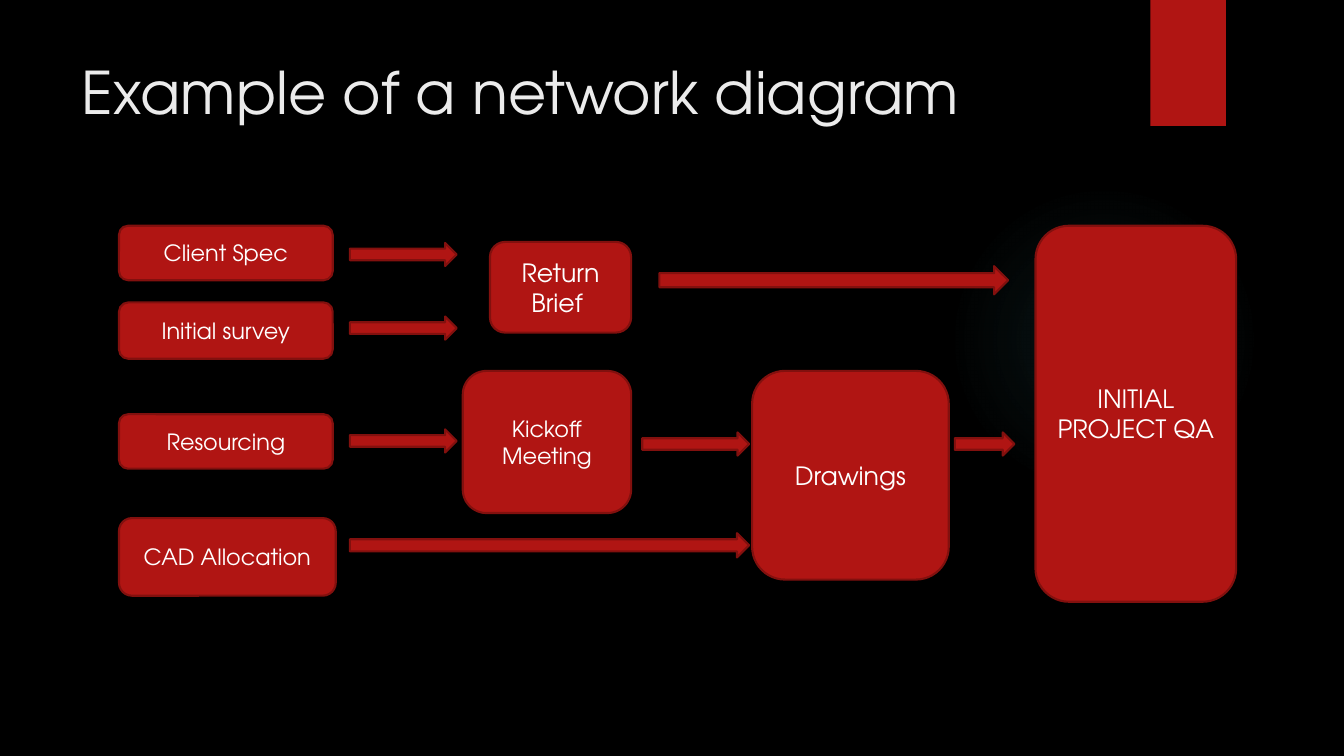
from pptx import Presentation
from pptx import util as u
from pptx.dml.color import RGBColor
from pptx.enum import shapes, text
from pptx.oxml import parse_xml
from pptx.oxml.ns import nsdecls

COLORS = {
    "background": "000000",
    "red": "B01513",
    "outline": "82100E",
    "title": "EBEBEB",
    "label": "FFFFFF",
    "glow": "50B9C1",
}
FONT = "TeX Gyre Adventor"


def rgb(name):
    return RGBColor.from_string(COLORS[name])


def write(tf, content, size=16, color="label", align=text.PP_ALIGN.CENTER,
          anchor=text.MSO_ANCHOR.MIDDLE):
    tf.word_wrap = True
    tf.vertical_anchor = anchor
    for i, line in enumerate(content.split("\n")):
        p = tf.paragraphs[0] if i == 0 else tf.add_paragraph()
        p.alignment = align
        r = p.add_run()
        r.text = line
        r.font.name = FONT
        r.font.size = u.Pt(size)
        r.font.color.rgb = rgb(color)


class NetworkSlide:
    def __init__(self, prs):
        self.s = prs.slides.add_slide(prs.slide_layouts[6])
        self.s.background.fill.solid()
        self.s.background.fill.fore_color.rgb = rgb("background")

    def shape(self, kind, x, y, w, h, outline=True):
        sp = self.s.shapes.add_shape(kind, *map(u.Inches, (x, y, w, h)))
        sp.shadow.inherit = False
        sp.fill.solid()
        sp.fill.fore_color.rgb = rgb("red")
        if outline:
            sp.line.color.rgb = rgb("outline")
            sp.line.width = u.Pt(1.5)
        else:
            sp.line.fill.background()
        return sp

    def glow(self, x, y, size, stops):
        sp = self.shape(shapes.MSO_SHAPE.OVAL, x, y, size, size, outline=False)
        gs = "".join(
            f'<a:gs pos="{pos * 1000}"><a:srgbClr val="{COLORS["glow"]}">'
            f'<a:alpha val="{alpha * 1000}"/></a:srgbClr></a:gs>'
            for pos, alpha in stops)
        gradient = parse_xml(
            f'<a:gradFill {nsdecls("a")}><a:gsLst>{gs}</a:gsLst><a:path path="circle">'
            '<a:fillToRect l="50000" t="50000" r="50000" b="50000"/></a:path></a:gradFill>')
        spPr = sp.element.spPr
        spPr.replace(spPr.find("{*}solidFill"), gradient)

    def ribbon(self, x, y, w, h):
        self.shape(shapes.MSO_SHAPE.RECTANGLE, x, y, w, h, outline=False)

    def title(self, content, x, y, w, h):
        tb = self.s.shapes.add_textbox(*map(u.Inches, (x, y, w, h)))
        write(tb.text_frame, content, size=42, color="title",
              align=text.PP_ALIGN.LEFT, anchor=text.MSO_ANCHOR.TOP)

    def box(self, content, x, y, w, h, size=16):
        sp = self.shape(shapes.MSO_SHAPE.ROUNDED_RECTANGLE, x, y, w, h)
        write(sp.text_frame, content, size=size)

    def arrow(self, x, y, w, h=0.23):
        self.shape(shapes.MSO_SHAPE.RIGHT_ARROW, x, y, w, h)


def main():
    prs = Presentation()
    prs.slide_width, prs.slide_height = u.Inches(13.33), u.Inches(7.5)
    slide = NetworkSlide(prs)
    slide.glow(9.41, 1.83, 3.08, [(0, 7), (36, 6), (69, 0)])
    slide.ribbon(11.41, 0, 0.75, 1.25)
    slide.title("Example of a network diagram", 0.71, 0.5, 10.29, 1.53)

    input_x, arrow_x, short = 1.18, 3.47, 1.06
    for label, y, w, h in [
        ("Client Spec", 2.24, 2.12, 0.54),
        ("Initial survey", 3, 2.12, 0.56),
        ("Resourcing", 4.11, 2.12, 0.54),
        ("CAD Allocation", 5.14, 2.15, 0.77),
    ]:
        slide.box(label, input_x, y, w, h)

    slide.box("Return\nBrief ", 4.86, 2.4, 1.4, 0.9, size=18)
    slide.box("Kickoff Meeting", 4.59, 3.68, 1.67, 1.41)
    slide.box("Drawings", 7.46, 3.68, 1.95, 2.07, size=18)
    slide.box("INITIAL PROJECT QA", 10.27, 2.24, 1.99, 3.73, size=18)

    for y in (2.41, 3.14, 4.26):
        slide.arrow(arrow_x, y, short)
    slide.arrow(arrow_x, 5.29, 3.96, 0.24)
    slide.arrow(6.37, 4.29, short)
    slide.arrow(6.54, 2.64, 3.46, 0.28)
    slide.arrow(9.47, 4.29, 0.59)

    prs.save("out.pptx")


if __name__ == "__main__":
    main()
